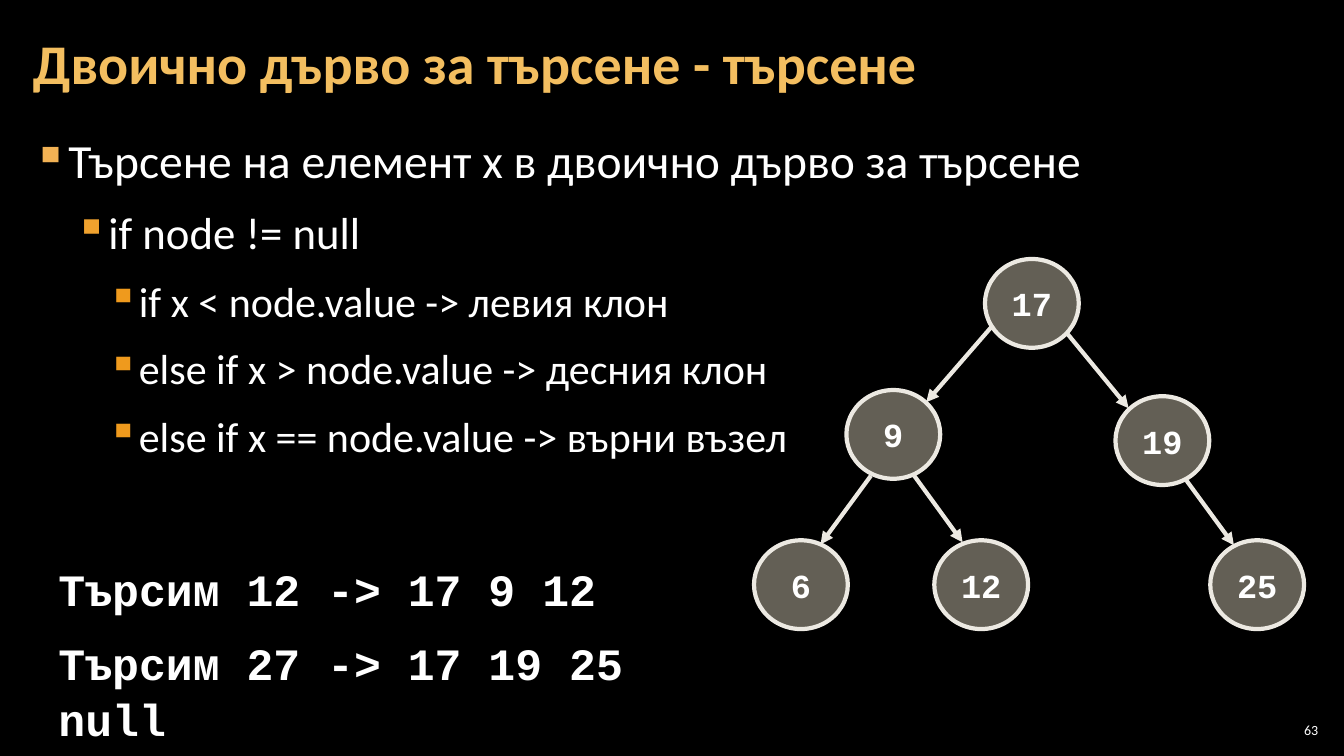
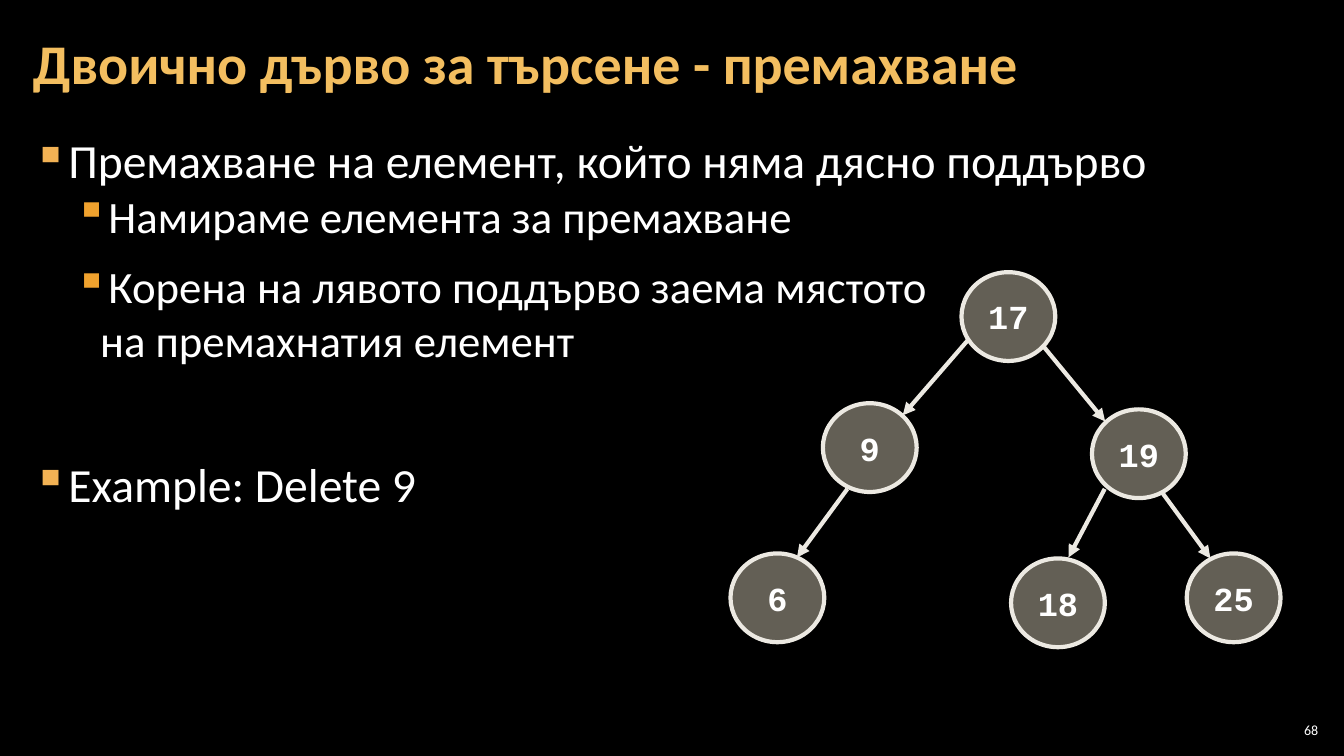
"""Build two slides about searching in and deleting from a binary search tree."""
from dataclasses import dataclass

from lxml.etree import SubElement
from pptx import Presentation
from pptx.dml.color import RGBColor
from pptx.enum.shapes import MSO_CONNECTOR, MSO_SHAPE
from pptx.enum.text import MSO_ANCHOR, PP_ALIGN
from pptx.oxml.ns import qn
from pptx.util import Pt

BLACK, WHITE, GOLD = "000000", "FFFFFF", "F3BE60"
NODE_FILL, NODE_LINE = "C6BEAB", "ECE9E2"
SANS, MONO = "Calibri", "Courier New"
NODE_WIDTH, NODE_HEIGHT = 67, 63.4


@dataclass(frozen=True)
class Box:
    left: float
    top: float
    width: float
    height: float


@dataclass(frozen=True)
class TextStyle:
    size: float
    font: str = SANS
    color: str = WHITE
    bold: bool = False
    align: PP_ALIGN = PP_ALIGN.LEFT
    line_spacing: float = 1.0


@dataclass(frozen=True)
class BulletLevel:
    margin: float
    hanging: float
    color: str
    style: TextStyle


@dataclass(frozen=True)
class Bullet:
    text: str
    level: int = 0
    space_before: float = 12


@dataclass(frozen=True)
class Node:
    value: str
    left: float
    top: float


@dataclass(frozen=True)
class Branch:
    x1: float
    y1: float
    x2: float
    y2: float


@dataclass(frozen=True)
class Tree:
    nodes: list[Node]
    branches: list[Branch]
    dx: float = 0
    dy: float = 0


TITLE_BOX = Box(15, 3.6, 929.5, 87)
BODY_BOX = Box(15, 90.7, 929.5, 438.5)
SEARCH_BOX = Box(34.6, 396, 494, 100.8)
NUMBER_BOX = Box(910.8, 514, 33.8, 15)

TITLE_STYLE = TextStyle(40, color=GOLD, bold=True, line_spacing=0.9)
NODE_STYLE = TextStyle(24, MONO, bold=True, align=PP_ALIGN.CENTER)
SEARCH_STYLE = TextStyle(32, MONO, bold=True, line_spacing=1.05)
NUMBER_STYLE = TextStyle(10, align=PP_ALIGN.RIGHT)
LEVELS = [
    BulletLevel(24, 24, "F2B254", TextStyle(34)),
    BulletLevel(48, 18, "F0A22E", TextStyle(32)),
    BulletLevel(72, 18.7, "EF9A1D", TextStyle(30)),
]

COMMON_NODES = [
    Node("17", 703.6, 185),
    Node("19", 796.8, 283),
    Node("9", 604.6, 278.6),
    Node("6", 538.6, 385.9),
    Node("25", 864.5, 385.9),
]
COMMON_BRANCHES = [
    Branch(709, 232.6, 661.6, 287.3),
    Branch(761.8, 237.6, 806.2, 291.6),
    Branch(622.1, 339.8, 586.1, 388.8),
    Branch(846.6, 342, 881.4, 389.5),
]
SEARCH_TREE = Tree(
    COMMON_NODES + [Node("12", 667.4, 385.9)],
    COMMON_BRANCHES + [Branch(653, 339.8, 687.6, 387.4)],
)
DELETE_TREE = Tree(
    COMMON_NODES + [Node("18", 739, 389.5)],
    COMMON_BRANCHES + [Branch(805.9, 339.8, 780, 388.8)],
    dx=-16.8,
    dy=9.4,
)


def rgb(color: str) -> RGBColor:
    return RGBColor.from_string(color)


def style_paragraph(paragraph, style: TextStyle) -> None:
    paragraph.alignment = style.align
    paragraph.line_spacing = style.line_spacing
    for run in paragraph.runs:
        run.font.size = Pt(style.size)
        run.font.name = style.font
        run.font.bold = style.bold
        run.font.color.rgb = rgb(style.color)


def add_text_box(slide, box: Box, inset_x: float, inset_y: float,
                 anchor: MSO_ANCHOR = MSO_ANCHOR.TOP):
    frame = slide.shapes.add_textbox(
        Pt(box.left), Pt(box.top), Pt(box.width), Pt(box.height)).text_frame
    frame.word_wrap = True
    frame.vertical_anchor = anchor
    frame.margin_left = frame.margin_right = Pt(inset_x)
    frame.margin_top = frame.margin_bottom = Pt(inset_y)
    return frame


def add_label(slide, box: Box, text: str, style: TextStyle, inset_x: float) -> None:
    frame = add_text_box(slide, box, inset_x, 3, MSO_ANCHOR.MIDDLE)
    frame.text = text
    style_paragraph(frame.paragraphs[0], style)


def add_bullets(slide, bullets: list[Bullet]) -> None:
    frame = add_text_box(slide, BODY_BOX, 8.5, 3)
    frame.text = "\n".join(bullet.text for bullet in bullets)
    for index, (bullet, paragraph) in enumerate(zip(bullets, frame.paragraphs)):
        level = LEVELS[bullet.level]
        paragraph.level = bullet.level
        properties = paragraph._p.get_or_add_pPr()
        properties.set("marL", str(Pt(level.margin)))
        properties.set("indent", str(-Pt(level.hanging)))
        bullet_color = SubElement(properties, qn("a:buClr"))
        SubElement(bullet_color, qn("a:srgbClr"), val=level.color)
        SubElement(properties, qn("a:buChar"), char="▪")
        if index:
            paragraph.space_before = Pt(bullet.space_before)
        style_paragraph(paragraph, level.style)


def add_searches(slide, searches: list[str]) -> None:
    frame = add_text_box(slide, SEARCH_BOX, 7.2, 3.6)
    frame.text = "\n".join(searches)
    for index, paragraph in enumerate(frame.paragraphs):
        if index:
            paragraph.space_before = Pt(12)
        style_paragraph(paragraph, SEARCH_STYLE)


def add_node(slide, node: Node, dx: float, dy: float) -> None:
    circle = slide.shapes.add_shape(
        MSO_SHAPE.OVAL, Pt(node.left + dx), Pt(node.top + dy),
        Pt(NODE_WIDTH), Pt(NODE_HEIGHT))
    circle.shadow.inherit = False
    circle.fill.solid()
    circle.fill.fore_color.rgb = rgb(NODE_FILL)
    fill_color = circle._element.spPr.find(qn("a:solidFill")).find(qn("a:srgbClr"))
    SubElement(fill_color, qn("a:alpha"), val="50000")
    circle.line.color.rgb = rgb(NODE_LINE)
    circle.line.width = Pt(3)
    frame = circle.text_frame
    frame.vertical_anchor = MSO_ANCHOR.MIDDLE
    frame.text = node.value
    style_paragraph(frame.paragraphs[0], NODE_STYLE)


def add_branch(slide, branch: Branch, dx: float, dy: float) -> None:
    arrow = slide.shapes.add_connector(
        MSO_CONNECTOR.STRAIGHT, Pt(branch.x1 + dx), Pt(branch.y1 + dy),
        Pt(branch.x2 + dx), Pt(branch.y2 + dy))
    arrow.line.color.rgb = rgb(NODE_LINE)
    arrow.line.width = Pt(3)
    SubElement(arrow.line._get_or_add_ln(), qn("a:tailEnd"), type="triangle")
    SubElement(arrow._element.spPr, qn("a:effectLst"))


def add_tree(slide, tree: Tree) -> None:
    for node in tree.nodes:
        add_node(slide, node, tree.dx, tree.dy)
    for branch in tree.branches:
        add_branch(slide, branch, tree.dx, tree.dy)


def add_tree_slide(deck, operation: str, number: int, bullets: list[Bullet], tree: Tree):
    slide = deck.slides.add_slide(deck.slide_layouts[6])
    slide.background.fill.solid()
    slide.background.fill.fore_color.rgb = rgb(BLACK)
    add_label(slide, TITLE_BOX, f"Двоично дърво за търсене - {operation}", TITLE_STYLE, 8.5)
    add_bullets(slide, bullets)
    add_tree(slide, tree)
    add_label(slide, NUMBER_BOX, str(number), NUMBER_STYLE, 3)
    return slide


def main() -> None:
    deck = Presentation()
    deck.slide_width, deck.slide_height = Pt(960), Pt(540)
    search = add_tree_slide(deck, "търсене", 63, [
        Bullet("Търсене на елемент x в двоично дърво за търсене"),
        Bullet("if node != null", 1),
        Bullet("if x < node.value -> левия клон", 2),
        Bullet("else if x > node.value -> десния клон", 2),
        Bullet("else if x == node.value -> върни възел", 2),
    ], SEARCH_TREE)
    add_searches(search, ["Търсим 12 -> 17 9 12", "Търсим 27 -> 17 19 25 null"])
    add_tree_slide(deck, "премахване", 68, [
        Bullet("Премахване на елемент, който няма дясно поддърво"),
        Bullet("Намираме елемента за премахване", 1, 0),
        Bullet("Корена на лявото поддърво заема мястото\vна премахнатия елемент", 1),
        Bullet("Example: Delete 9", space_before=63),
    ], DELETE_TREE)
    deck.save("out.pptx")


if __name__ == "__main__":
    main()
